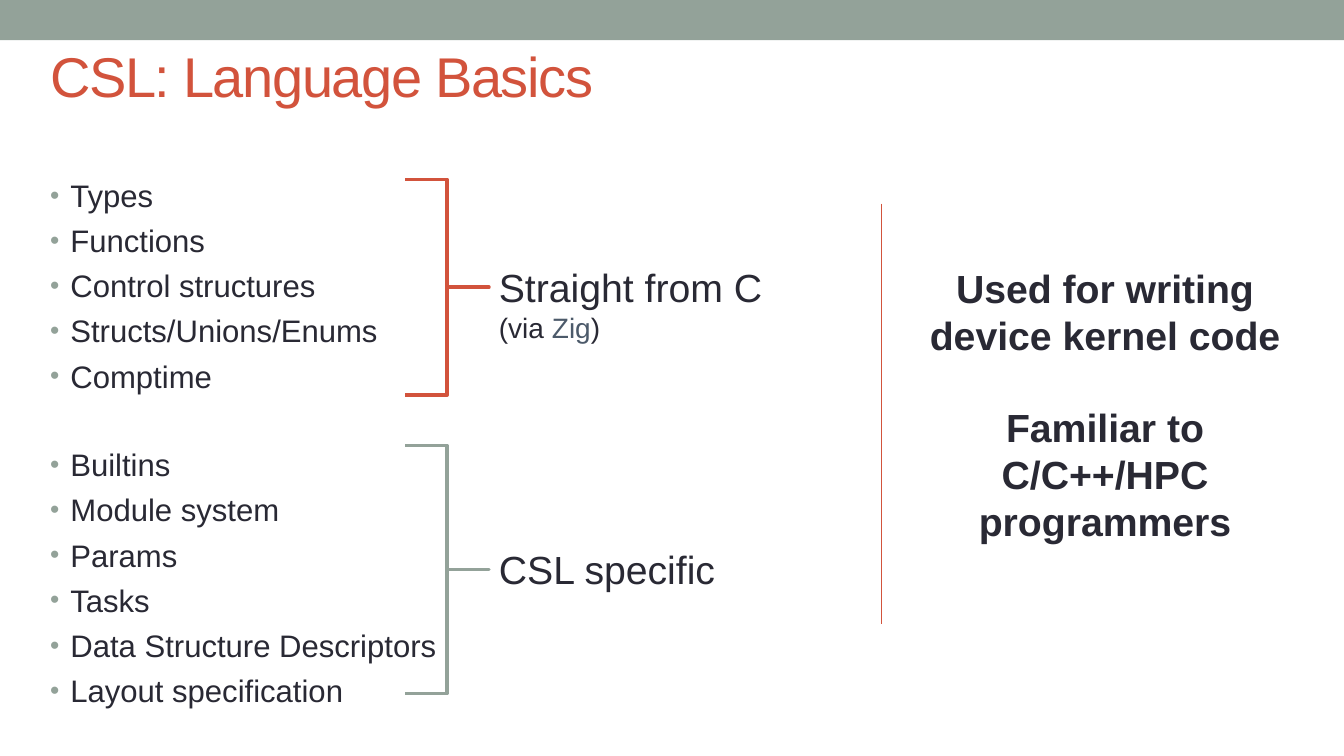
"""Build the CSL language basics slide."""
from lxml import etree
from pptx import Presentation
from pptx.dml.color import RGBColor
from pptx.enum.shapes import MSO_CONNECTOR as Connector, MSO_SHAPE as Shape
from pptx.enum.text import MSO_ANCHOR as Anchor, PP_ALIGN as Align
from pptx.oxml.ns import qn
from pptx.util import Inches, Pt

SAGE, RUST, INK, SLATE = "93A299", "D2533C", "292934", "4C5A6A"


def rgb(value):
    return RGBColor.from_string(value)


class SlideBuilder:
    font = "Arial"

    def __init__(self, slide):
        self.slide = slide
        self.shapes = slide.shapes

    def band(self, *box, color):
        band = self.shapes.add_shape(Shape.RECTANGLE, *map(Inches, box))
        band.shadow.inherit = False
        band.fill.solid()
        band.fill.fore_color.rgb = rgb(color)
        band.line.fill.background()

    def bracket(self, *box, color):
        bracket = self.shapes.add_shape(Shape.RIGHT_BRACE, *map(Inches, box))
        bracket.adjustments[0] = 0
        bracket.adjustments[1] = 0.5
        bracket.shadow.inherit = False
        bracket.fill.background()
        bracket.line.color.rgb = rgb(color)
        bracket.line.width = Pt(2.5)

    def divider(self, x, top, bottom, color):
        divider = self.shapes.add_connector(
            Connector.STRAIGHT, Inches(x), Inches(top), Inches(x), Inches(bottom))
        divider.line.color.rgb = rgb(color)
        divider.line.width = Pt(0.75)
        etree.SubElement(divider._element.spPr, qn("a:effectLst"))

    def frame(self, *box, anchor=Anchor.TOP):
        frame = self.shapes.add_textbox(*map(Inches, box)).text_frame
        frame.word_wrap = True
        frame.vertical_anchor = anchor
        return frame

    def paragraph(self, frame, runs, size, color=INK, bold=False,
                  align=Align.LEFT, before=0, bullet=None):
        first = frame.paragraphs[0]
        paragraph = first if not first.runs else frame.add_paragraph()
        if bullet:
            self.bullet(paragraph, bullet)
        paragraph.alignment = align
        paragraph.space_before = Pt(before)
        font = paragraph.font
        font.name, font.size, font.bold = self.font, Pt(size), bold
        font.color.rgb = rgb(color)
        for text, run_color in runs:
            run = paragraph.add_run()
            run.text = text
            if run_color:
                run.font.color.rgb = rgb(run_color)
        return paragraph

    def bullet(self, paragraph, color):
        properties = paragraph._p.get_or_add_pPr()
        properties.set("marL", str(Inches(0.2)))
        properties.set("indent", str(-Inches(0.2)))
        tint = etree.SubElement(properties, qn("a:buClr"))
        etree.SubElement(tint, qn("a:srgbClr"), val=color)
        etree.SubElement(properties, qn("a:buSzPct"), val="85000")
        etree.SubElement(properties, qn("a:buFont"), typeface=self.font)
        etree.SubElement(properties, qn("a:buChar"), char="•")

    def title(self, text, *box):
        frame = self.frame(*box, anchor=Anchor.MIDDLE)
        heading = self.paragraph(frame, [(text, None)], 40, RUST)
        heading.runs[0]._r.get_or_add_rPr().set("spc", "-100")

    def topics(self, groups, *box):
        frame = self.frame(*box)
        for group, lead in groups:
            for index, topic in enumerate(group):
                self.paragraph(frame, [(topic, None)], 22.2, bullet=SAGE,
                               before=5.6 if index else lead)


def main():
    deck = Presentation()
    deck.slide_width, deck.slide_height = Inches(13.33), Inches(7.5)
    page = SlideBuilder(deck.slides.add_slide(deck.slide_layouts[6]))

    page.band(0, 0, 13.33, 0.4, color=SAGE)
    c_topics = ["Types", "Functions", "Control structures",
                "Structs/Unions/Enums", "Comptime"]
    csl_topics = ["Builtins", "Module system", "Params", "Tasks",
                  "Data Structure Descriptors", "Layout specification"]
    page.topics([(c_topics, 2), (csl_topics, 36.7)], 0.4, 1.7, 12.03, 5.28)
    page.title("CSL: Language Basics", 0.4, 0.31, 12.03, 0.87)

    page.bracket(4.02, 1.78, 0.83, 2.14, color=RUST)
    page.bracket(4.02, 4.42, 0.83, 2.46, color=SAGE)

    c_label = page.frame(4.85, 2.56, 4.67, 0.91)
    page.paragraph(c_label, [("Straight from C", None)], 28)
    page.paragraph(c_label, [("(via ", None), ("Zig", SLATE), (")", None)], 20)
    csl_label = page.frame(4.85, 5.36, 3.75, 0.57)
    page.paragraph(csl_label, [("CSL specific", None)], 28)

    summary = page.frame(8.86, 2.57, 4.2, 2.93)
    for statement, before in [("Used for writing device kernel code", 0),
                              ("Familiar to C/C++/HPC programmers", 32.2)]:
        page.paragraph(summary, [(statement, None)], 28, bold=True,
                       align=Align.CENTER, before=before)
    page.divider(8.74, 2.02, 6.19, RUST)

    deck.save("out.pptx")


if __name__ == "__main__":
    main()
